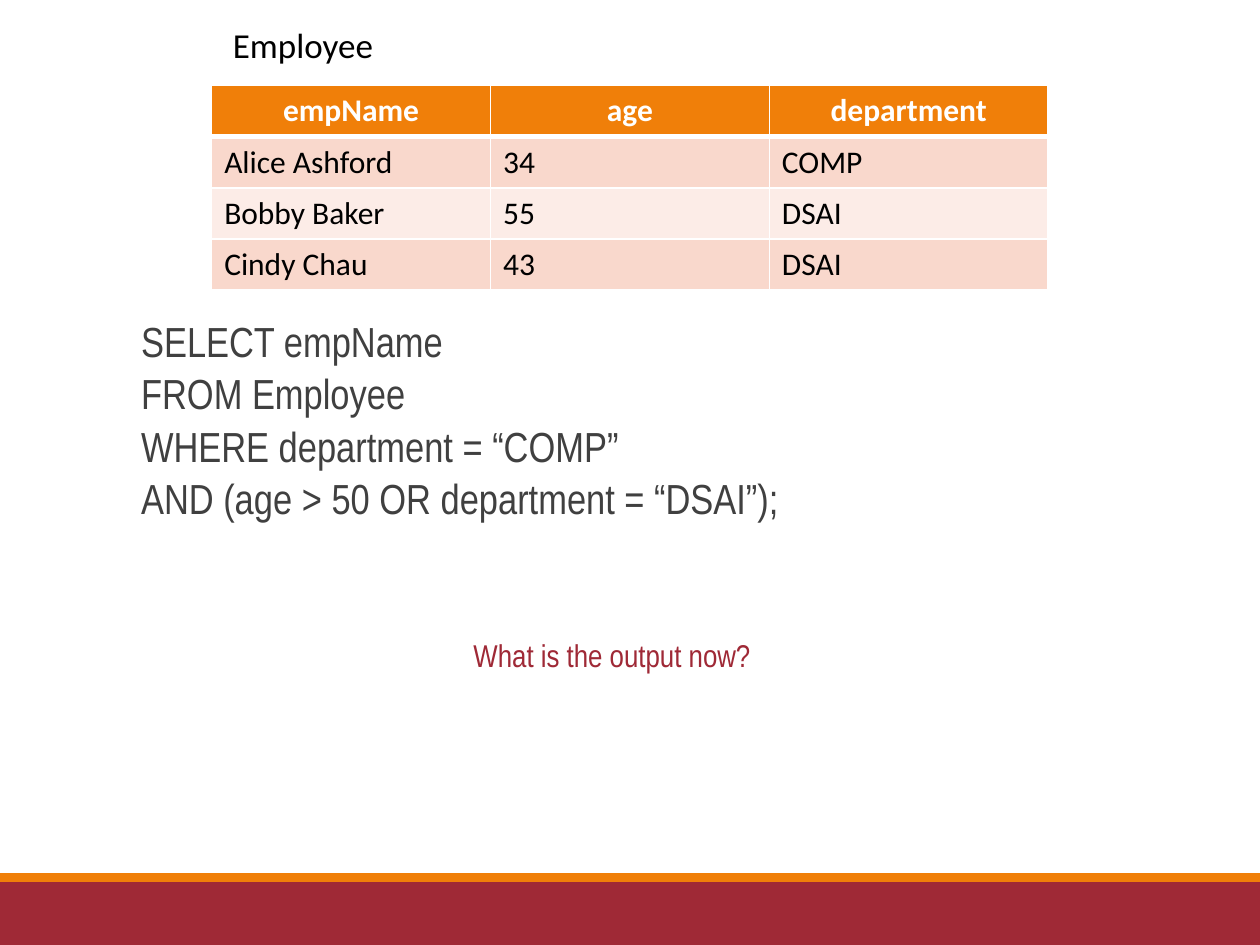
from lxml import etree
from pptx import Presentation
from pptx.dml.color import RGBColor
from pptx.enum.shapes import MSO_SHAPE
from pptx.enum.text import MSO_ANCHOR, MSO_AUTO_SIZE, PP_ALIGN
from pptx.oxml.ns import qn
from pptx.util import Inches, Pt

RECT = MSO_SHAPE.RECTANGLE
CENTER = PP_ALIGN.CENTER
MIDDLE, TOP = MSO_ANCHOR.MIDDLE, MSO_ANCHOR.TOP
FIT, FIXED = MSO_AUTO_SIZE.SHAPE_TO_FIT_TEXT, MSO_AUTO_SIZE.NONE

RED, ORANGE, WHITE, BLACK, GRAY = "9F2936", "F07F09", "FFFFFF", "000000", "404040"
BANDS = ["F9D8CC", "FCECE7"]
SANS, NARROW = "Calibri", "Arial Narrow"

BARS = [(7, 0.5, RED), (6.93, 0.07, ORANGE)]
CAPTION = "Employee"
ROWS = [
    ("empName", "age", "department"),
    ("Alice Ashford", "34", "COMP"),
    ("Bobby Baker", "55", "DSAI"),
    ("Cindy Chau", "43", "DSAI"),
]
QUERY = [
    "SELECT empName",
    "FROM Employee",
    "WHERE department = “COMP”",
    "AND (age > 50 OR department = “DSAI”);",
]
QUESTION = "What is the output now?"


def paint(fill, color):
    fill.solid()
    fill.fore_color.rgb = RGBColor.from_string(color)


def style(para, size, face, color, bold=False):
    for run in para.runs:
        font = run.font
        font.size, font.name, font.bold = Pt(size), face, bold
        font.color.rgb = RGBColor.from_string(color)


def place(*box):
    return [Inches(n) for n in box]


def add_bar(slide, top, height, color):
    bar = slide.shapes.add_shape(RECT, *place(0, top, 10, height))
    bar.shadow.inherit = False
    paint(bar.fill, color)
    bar.line.fill.background()


def add_edges(cell, bottom):
    """Draw white borders around a cell, with its own bottom width in points."""
    props = cell._tc.get_or_add_tcPr()
    for side, width in zip("LRTB", (1, 1, 1, bottom)):
        line = etree.SubElement(props, qn(f"a:ln{side}"), w=str(Pt(width)))
        solid = etree.SubElement(line, qn("a:solidFill"))
        etree.SubElement(solid, qn("a:srgbClr"), val=WHITE)


def add_grid(slide):
    shape = slide.shapes.add_table(len(ROWS), len(ROWS[0]), *place(1.68, 0.68, 6.64, 1.62))
    for r, row in enumerate(ROWS):
        head = r == 0
        for c, text in enumerate(row):
            cell = shape.table.cell(r, c)
            cell.text_frame.text = text
            para = cell.text_frame.paragraphs[0]
            if head:
                para.alignment = CENTER
            style(para, 18, SANS, WHITE if head else BLACK, head)
            add_edges(cell, 3 if head else 1)
            paint(cell.fill, ORANGE if head else BANDS[(r - 1) % 2])


def fill_query(body):
    body.left, body.top, body.width, body.height = place(1.02, 2.5, 8.25, 2.49)
    frame = body.text_frame
    frame.text = "\n".join(QUERY)
    frame.auto_size, frame.vertical_anchor = FIXED, TOP
    for i, para in enumerate(frame.paragraphs):
        props = para._p.get_or_add_pPr()
        props.set("marL", "0")
        props.set("indent", "0")
        etree.SubElement(props, qn("a:buNone"))
        para.line_spacing = 0.9
        para.space_before, para.space_after = Pt(2 if i else 0), Pt(2)
        style(para, 24, NARROW, GRAY)


def add_label(slide, text, box, size, face, color, wrap=True):
    frame = slide.shapes.add_textbox(*place(*box)).text_frame
    frame.text = text
    frame.word_wrap, frame.auto_size = wrap, FIT
    style(frame.paragraphs[0], size, face, color)
    return frame


def main():
    deck = Presentation()
    deck.slide_width, deck.slide_height = place(10, 7.5)
    slide = deck.slides.add_slide(deck.slide_layouts[1])
    title, body = slide.placeholders
    title.element.getparent().remove(title.element)
    paint(slide.background.fill, WHITE)

    for bar in BARS:
        add_bar(slide, *bar)
    add_grid(slide)
    fill_query(body)
    add_label(slide, QUESTION, (3.66, 5, 3.27, 0.4), 18, NARROW, RED)
    caption = add_label(slide, CAPTION, (1.68, 0.13, 1.45, 0.44), 20, SANS, BLACK, False)
    caption.vertical_anchor = MIDDLE
    caption.paragraphs[0].alignment = CENTER
    deck.save("out.pptx")


if __name__ == "__main__":
    main()
